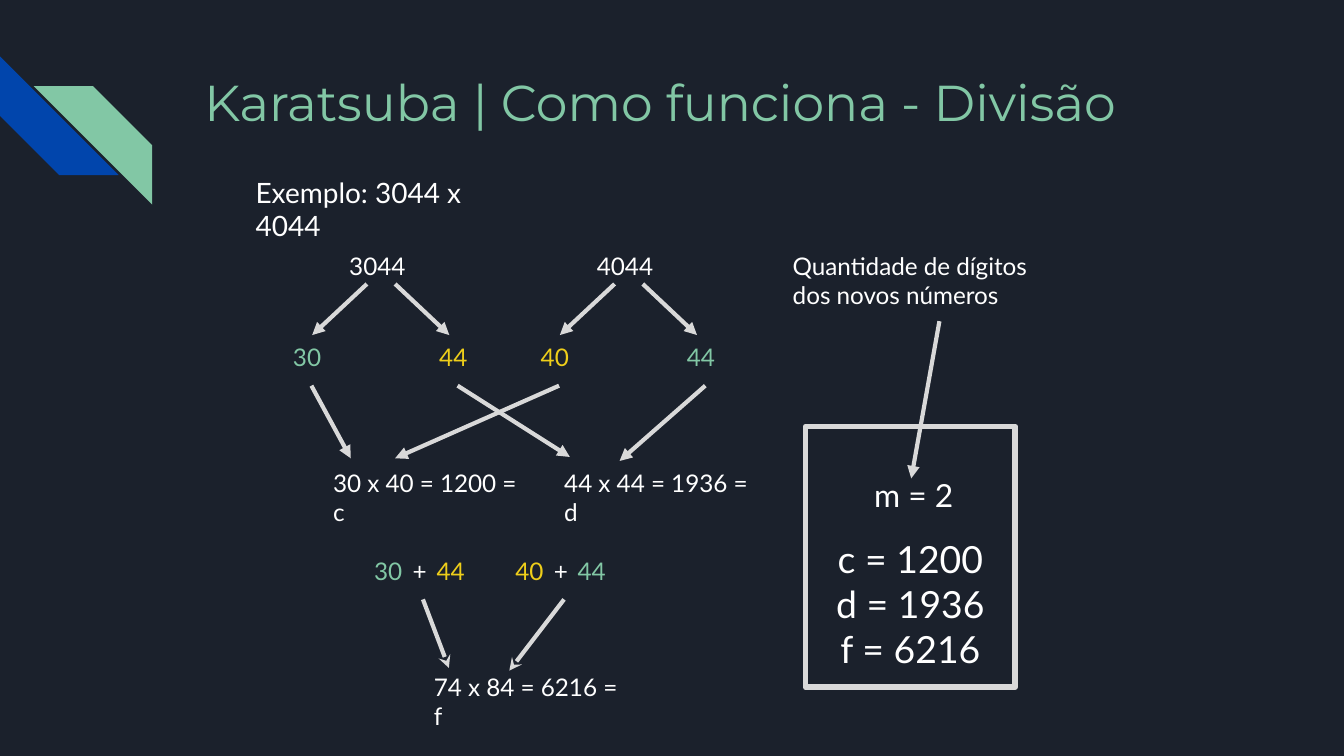
"""Build a slide that explains the division step of Karatsuba multiplication."""
from lxml import etree
from pptx import Presentation
from pptx.dml.color import RGBColor
from pptx.enum.shapes import MSO_CONNECTOR, MSO_SHAPE
from pptx.enum.text import MSO_ANCHOR, MSO_AUTO_SIZE, PP_ALIGN
from pptx.oxml.ns import qn
from pptx.util import Inches, Pt

STRAIGHT = MSO_CONNECTOR.STRAIGHT
STRIPE, RECTANGLE = MSO_SHAPE.DIAGONAL_STRIPE, MSO_SHAPE.RECTANGLE
TOP, MIDDLE = MSO_ANCHOR.TOP, MSO_ANCHOR.MIDDLE
LEFT, CENTER = PP_ALIGN.LEFT, PP_ALIGN.CENTER
FIXED = MSO_AUTO_SIZE.NONE
BOTTOM_SIDE = 2
NAVY, BLUE, GREEN = "1B212C", "0145AC", "82C7A5"
YELLOW, WHITE, GREY = "EECE1A", "FFFFFF", "D9D9D9"
color = RGBColor.from_string

deck = Presentation()
deck.slide_width = Inches(10)
deck.slide_height = deck.slide_width * 9 // 16
CELL = deck.slide_width // 100
slide = deck.slides.add_slide(deck.slide_layouts[5])
slide.background.fill.solid()
slide.background.fill.fore_color.rgb = color(NAVY)


def write(lines, area, size=13, ink=WHITE, box=None, font="Lato", align=LEFT, anchor=TOP):
    """Put lines of text in an area given in grid cells."""
    box = box or slide.shapes.add_textbox(0, 0, 0, 0)
    box.left, box.top, box.width, box.height = [int(n * CELL) for n in area]
    frame = box.text_frame
    frame.word_wrap, frame.auto_size, frame.vertical_anchor = True, FIXED, anchor
    frame.margin_left = frame.margin_right = frame.margin_top = frame.margin_bottom = CELL
    for index, line in enumerate(lines):
        paragraph = frame.add_paragraph() if index else frame.paragraphs[0]
        paragraph.alignment = align
        run = paragraph.add_run()
        run.text = line
        run.font.size, run.font.name = Pt(size), font
        run.font.color.rgb = color(ink)
    return box


def arrow(end, start=(0, 0), source=None, head="triangle"):
    """Draw an arrow from a point, or from the bottom of a source box."""
    line = slide.shapes.add_connector(STRAIGHT, *[int(n * CELL) for n in (*start, *end)])
    if source:
        line.begin_connect(source, BOTTOM_SIDE)
    line.line.width = Pt(2.25)
    line.line.color.rgb = color(GREY)
    etree.SubElement(line.line._get_or_add_ln(), qn("a:tailEnd"), type=head)
    etree.SubElement(line._element.spPr, qn("a:effectLst"))


for left, top, fill, turn, flip in [(0, 4.2, BLUE, 270, "0"), (2.5, 6.4, GREEN, 0, "1")]:
    stripe = slide.shapes.add_shape(
        STRIPE, *[int(n * CELL) for n in (left, top, 8.83, 8.83)])
    stripe.rotation = turn
    stripe._element.spPr.xfrm.set("flipH", flip)
    stripe.fill.solid()
    stripe.fill.fore_color.rgb = color(fill)
    stripe.line.fill.background()
    stripe.shadow.inherit = False

write(["Karatsuba | Como funciona - Divisão"], (14.2, 4.3, 77, 10), 27, GREEN,
      slide.shapes.title, "Montserrat")
write(["Exemplo: 3044 x 4044"], (18.04, 12.04, 22.3, 7), 15)

factors = [
    ("3044", 0, ("30", GREEN, (26.1, 34.1)), ("44", YELLOW, (42.4, 34))),
    ("4044", 18.43, ("40", YELLOW, (29.4, 34.1)), ("44", GREEN, (46.1, 34.3))),
]
for factor, shift, high, low in factors:
    write([factor], (25 + shift, 17.7, 6.5, 4))
    for (digits, ink, product_point), left, fork, tip in [
            (high, 20.82, 27.3, 23.23), (low, 31.7, 29.4, 33.43)]:
        arrow((tip + shift, 24.93), (fork + shift, 21.13))
        half = write([digits], (left + shift, 24.5, 4.7, 4.2), ink=ink)
        arrow(product_point, source=half)

for product, area in [("30 x 40 = 1200 = c", (23.8, 33.84, 16.4, 4.2)),
                      ("44 x 44 = 1936 = d", (41, 33.84, 17, 4.2)),
                      ("74 x 84 = 6216 = f", (31.3, 49.04, 16.4, 4))]:
    write([product], area)

sums = [("30", GREEN, "44", YELLOW, 0, (33.4, 49.7)),
        ("40", YELLOW, "44", GREEN, 10.5, (37.9, 49.9))]
for high, high_ink, low, low_ink, shift, tip in sums:
    write([high], (26.86 + shift, 40.4, 4.7, 4.2), ink=high_ink)
    write([low], (31.5 + shift, 40.4, 4.7, 4.2), ink=low_ink)
    plus = write(["+"], (29.72 + shift, 40.4, 3.5, 4.2))
    arrow(tip, source=plus, head="stealth")

write(["Quantidade de dígitos dos novos números"], (58, 17.7, 21.2, 6.2))
results = slide.shapes.add_shape(
    RECTANGLE, *[int(n * CELL) for n in (59.94, 31.74, 15.6, 19.4)])
results.fill.background()
results.line.width = Pt(3)
results.line.color.rgb = color(GREY)
etree.SubElement(results.line._get_or_add_ln(), qn("a:round"))
results.shadow.inherit = False
write(["m = 2"], (64.06, 34.4, 8.4, 4.8), 17)
write(["c = 1200", "d = 1936", "f = 6216"], (58.6, 36.84, 18.3, 16.1), 20,
      align=CENTER, anchor=MIDDLE)
arrow((67.8, 35.6), (69.9, 23.9))

deck.save("out.pptx")
